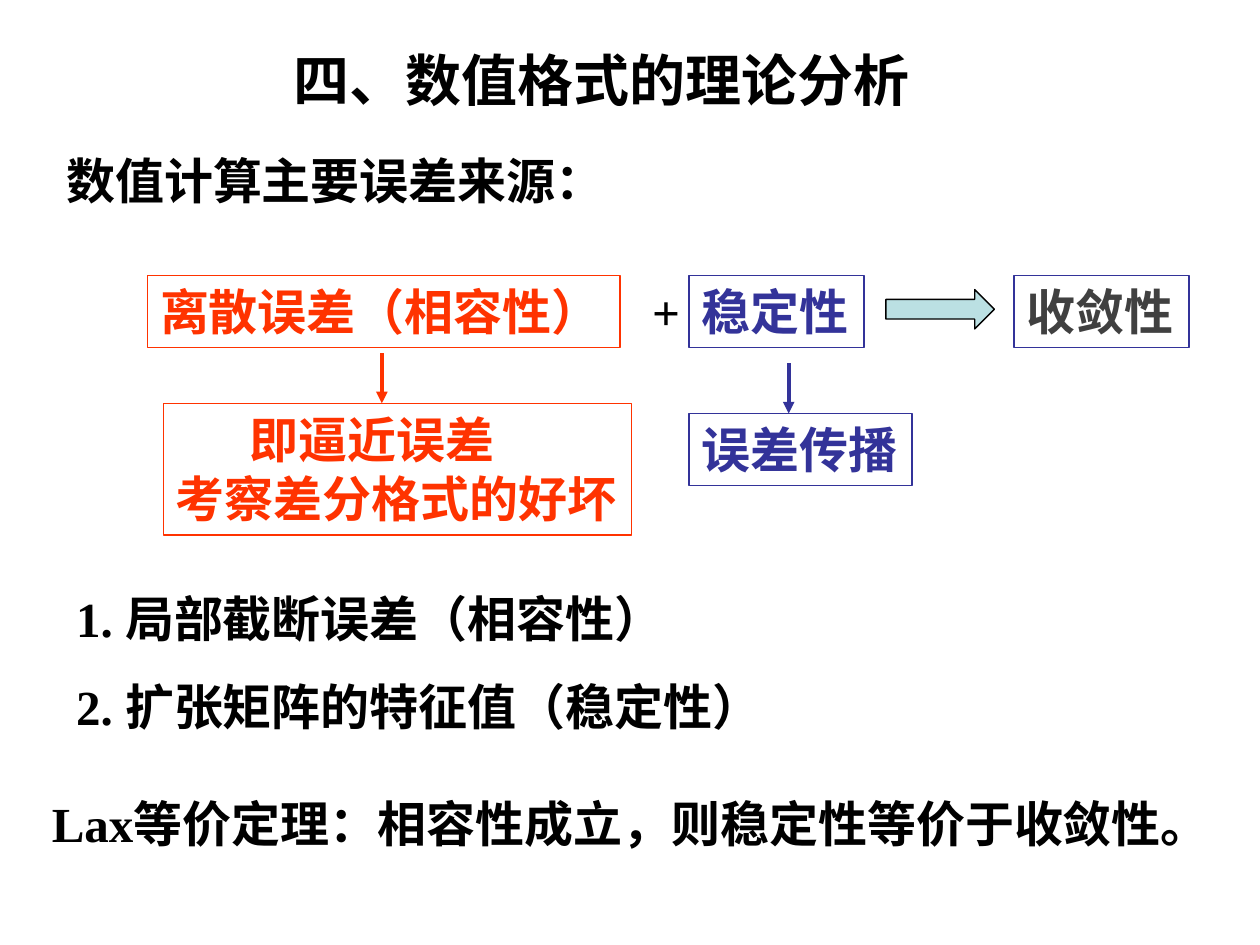
from dataclasses import dataclass

from lxml import etree
from pptx import Presentation
from pptx.dml.color import RGBColor
from pptx.enum.shapes import MSO_CONNECTOR, MSO_SHAPE
from pptx.enum.text import MSO_ANCHOR, MSO_AUTO_SIZE, PP_ALIGN
from pptx.oxml.ns import qn
from pptx.util import Pt

RECT, RIGHT_ARROW = MSO_SHAPE.RECTANGLE, MSO_SHAPE.RIGHT_ARROW
STRAIGHT = MSO_CONNECTOR.STRAIGHT
TOP, MIDDLE = MSO_ANCHOR.TOP, MSO_ANCHOR.MIDDLE
LEFT, CENTER = PP_ALIGN.LEFT, PP_ALIGN.CENTER
FIT = MSO_AUTO_SIZE.SHAPE_TO_FIT_TEXT

BLACK, RED, BLUE, GREY, TEAL = "000000", "FF3300", "333399", "404040", "BBE0E3"
SERIF = "Times New Roman"
ROW_TOP = 157.5
LINE_H = 41.3


@dataclass
class Label:
    x: float
    y: float
    w: float
    lines: list[str]
    color: str = BLACK
    border: str | None = None
    h: float = LINE_H
    wrap: bool = False
    first_indent: float = 0


@dataclass
class DownArrow:
    x: float
    top: float
    bottom: float
    color: str


LABELS = [
    Label(36.5, 332.5, 357, ["1. 局部截断误差（相容性）"], wrap=True),
    Label(36.5, 383.3, 412, ["2. 扩张矩阵的特征值（稳定性）"], wrap=True),
    Label(30.8, 82.5, 324, ["数值计算主要误差来源："]),
    Label(84.4, ROW_TOP, 270, ["离散误差（相容性）"], RED, RED),
    Label(93.5, 230.5, 267.3, ["即逼近误差", "考察差分格式的好坏"], RED, RED,
          h=75.3, first_indent=42),
    Label(393.8, 236.3, 127.3, ["误差传播"], BLUE, BLUE),
    Label(365.6, ROW_TOP, 30.3, ["+"]),
    Label(393.8, ROW_TOP, 100, ["稳定性"], BLUE, BLUE),
    Label(22.5, 449.8, 686, ["Lax等价定理：相容性成立，则稳定性等价于收敛性。"]),
    Label(579.5, ROW_TOP, 100, ["收敛性"], GREY, BLUE),
]
ARROWS = [
    DownArrow(450.7, 207.5, 236.3, BLUE),
    DownArrow(218.2, 202, 230.5, RED),
]


def rgb(value: str) -> RGBColor:
    return RGBColor.from_string(value)


def add_run(p, text: str, size: float, font: str, color: str) -> None:
    r = p.add_run()
    r.text = text
    r.font.size = Pt(size)
    r.font.name = font
    r.font.bold = True
    r.font.color.rgb = rgb(color)


def outline(s, color: str, width: float) -> None:
    s.line.color.rgb = rgb(color)
    s.line.width = Pt(width)


def draw_title(shapes, text: str) -> None:
    sp = shapes.add_textbox(Pt(150.5), Pt(20), Pt(386.5), Pt(50))
    tf = sp.text_frame
    tf.word_wrap = True
    tf.vertical_anchor = MIDDLE
    tf.paragraphs[0].alignment = CENTER
    add_run(tf.paragraphs[0], text, 32, "Arial", BLACK)


def draw_label(shapes, label: Label) -> None:
    box = [Pt(v) for v in (label.x, label.y, label.w, label.h)]
    if label.border:
        sp = shapes.add_shape(RECT, *box)
        sp.shadow.inherit = False
        sp.fill.background()
        outline(sp, label.border, 0.75)
    else:
        sp = shapes.add_textbox(*box)
    tf = sp.text_frame
    tf.word_wrap = label.wrap
    tf.auto_size = FIT
    tf.vertical_anchor = TOP
    for i, line in enumerate(label.lines):
        p = tf.add_paragraph() if i else tf.paragraphs[0]
        p.alignment = LEFT
        if i == 0 and label.first_indent:
            p._p.get_or_add_pPr().set("indent", str(Pt(label.first_indent)))
        add_run(p, line, 28, SERIF, label.color)


def draw_down_arrow(shapes, arrow: DownArrow) -> None:
    c = shapes.add_connector(STRAIGHT, Pt(arrow.x), Pt(arrow.top),
                             Pt(arrow.x), Pt(arrow.bottom))
    outline(c, arrow.color, 2.25)
    etree.SubElement(c.line._get_or_add_ln(), qn("a:tailEnd"), type="triangle")
    etree.SubElement(c._element.spPr, qn("a:effectLst"))


def draw_block_arrow(shapes) -> None:
    sp = shapes.add_shape(RIGHT_ARROW, Pt(506.2), Pt(165.5), Pt(62), Pt(22.5))
    sp.shadow.inherit = False
    sp.fill.solid()
    sp.fill.fore_color.rgb = rgb(TEAL)
    outline(sp, BLACK, 0.75)


def main() -> None:
    prs = Presentation()
    prs.slide_width, prs.slide_height = Pt(720), Pt(540)
    s = prs.slides.add_slide(prs.slide_layouts[6])
    draw_title(s.shapes, "四、数值格式的理论分析")
    for label in LABELS:
        draw_label(s.shapes, label)
    for arrow in ARROWS:
        draw_down_arrow(s.shapes, arrow)
    draw_block_arrow(s.shapes)
    prs.save("out.pptx")


main()
